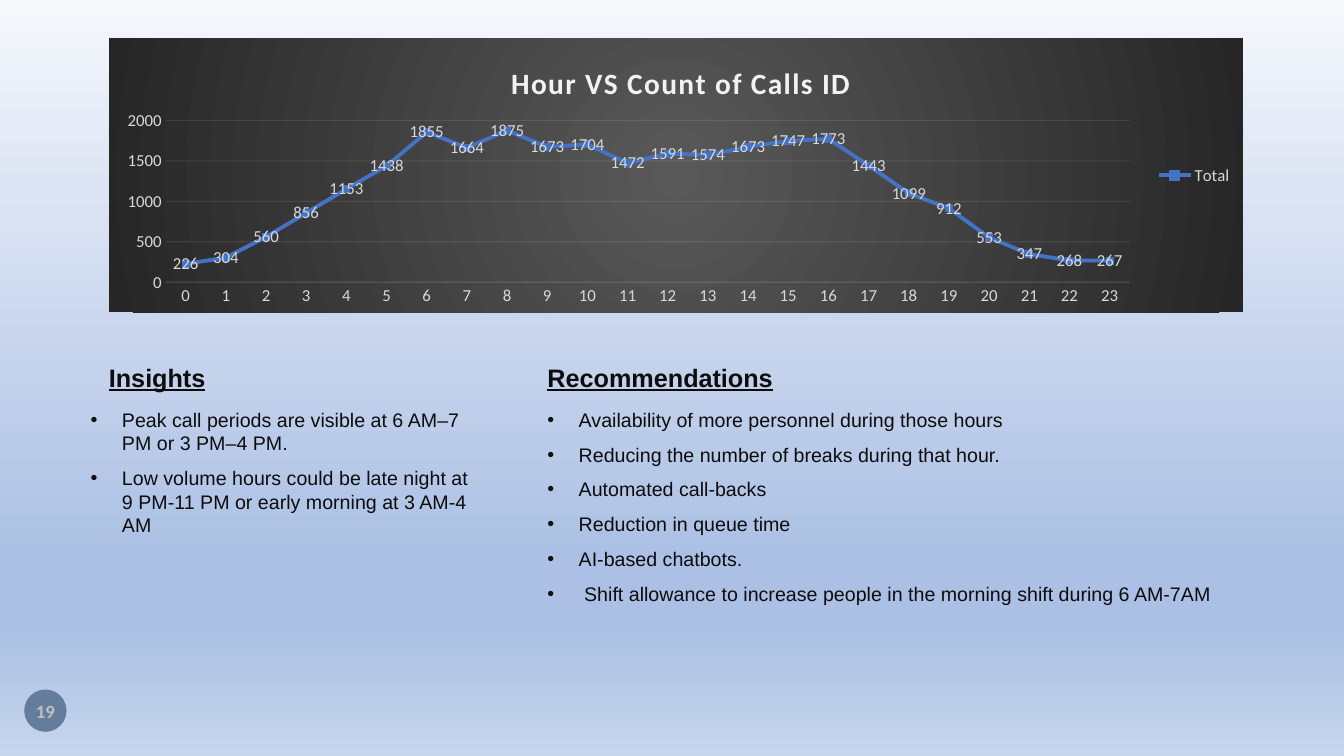
from lxml import etree
from pptx import Presentation
from pptx.chart.data import CategoryChartData
from pptx.dml.color import RGBColor
from pptx.enum.chart import (XL_CHART_TYPE, XL_LABEL_POSITION,
                             XL_LEGEND_POSITION, XL_TICK_MARK)
from pptx.enum.shapes import MSO_SHAPE
from pptx.enum.text import MSO_ANCHOR, PP_ALIGN
from pptx.oxml import parse_xml
from pptx.oxml.ns import nsdecls, qn
from pptx.util import Inches, Pt

LINE = XL_CHART_TYPE.LINE
MID = XL_LABEL_POSITION.CENTER
RIGHT = XL_LEGEND_POSITION.RIGHT
NONE = XL_TICK_MARK.NONE
OVAL = MSO_SHAPE.OVAL
MIDDLE = MSO_ANCHOR.MIDDLE
CENTER = PP_ALIGN.CENTER

WIDE, HIGH = 13.33, 7.5
INK, PALE, GREY = "0D0D0D", "F2F2F2", "D9D9D9"
SKY = [(0, "F6F8FC"), (25, "DDE5F4"), (49, "C4D2EC"), (59, "BACBE9"),
       (74, "ABC0E4"), (83, "ABC0E4"), (100, "C7D5ED")]
DARK = [(0, "595959"), (100, "262626")]
DOWN = '<a:lin ang="5400000" scaled="0"/>'
ROUND = ('<a:path path="circle"><a:fillToRect l="50000" t="50000" '
         'r="50000" b="50000"/></a:path>')

CALLS = [226, 304, 560, 856, 1153, 1438, 1855, 1664, 1875, 1673, 1704, 1472,
         1591, 1574, 1673, 1747, 1773, 1443, 1099, 912, 553, 347, 268, 267]
INSIGHTS = [
    "Peak call periods are visible at 6 AM–7 PM or 3 PM–4 PM.",
    "Low volume hours could be late night at 9 PM-11 PM or early morning "
    "at 3 AM-4 AM",
]
ADVICE = [
    "Availability of more personnel during those hours",
    "Reducing the number of breaks during that hour.",
    "Automated call-backs",
    "Reduction in queue time",
    "AI-based chatbots.",
    " Shift allowance to increase people in the morning shift during 6 AM-7AM",
]


def color(code):
    return RGBColor.from_string(code)


def style(font, size, code, name="Calibri", bold=False):
    font.size, font.name, font.bold = Pt(size), name, bold
    font.color.rgb = color(code)


def blend(stops, way):
    marks = "".join(f'<a:gs pos="{at * 1000}"><a:srgbClr val="{code}"/></a:gs>'
                    for at, code in stops)
    return f'<a:gradFill rotWithShape="1"><a:gsLst>{marks}</a:gsLst>{way}</a:gradFill>'


def paint_back(slide):
    slide.background.fill.solid()
    back = slide.element.find(".//" + qn("p:bgPr"))
    fill = parse_xml(blend(SKY, DOWN).replace(
        "<a:gradFill", f'<a:gradFill {nsdecls("a")}', 1))
    back.replace(back[0], fill)


def faint(line):
    """Thin pale line at ten percent opacity."""
    line.width = Pt(0.75)
    line.color.rgb = color(PALE)
    tint = line.fill.fore_color  # makes sure the fill is solid
    tint.rgb = color(PALE)


def fade(axis):
    for tone in axis._element.iter(qn("a:srgbClr")):
        if tone.getparent().getparent().tag == qn("a:ln"):
            etree.SubElement(tone, qn("a:alpha"), val="10000")


def place(parent, spot, inner=False):
    """Fix a chart part at shares of the chart's size."""
    old = parent.find(qn("c:layout"))
    if old is not None:
        parent.remove(old)
    parts = '<c:layoutTarget val="inner"/>' if inner else ""
    parts += '<c:xMode val="edge"/><c:yMode val="edge"/>'
    parts += "".join(f'<c:{key} val="{val}"/>' for key, val in zip("xywh", spot))
    node = parse_xml(f'<c:layout {nsdecls("c")}><c:manualLayout>{parts}'
                     '</c:manualLayout></c:layout>')
    if inner:
        parent.insert(0, node)
    else:
        parent.find(qn("c:tx")).addnext(node)


def add_calls(slide, x, y, w, h):
    data = CategoryChartData()
    data.categories = [str(hour) for hour in range(len(CALLS))]
    data.add_series("Total", CALLS)
    chart = slide.shapes.add_chart(LINE, Inches(x), Inches(y), Inches(w),
                                   Inches(h), data).chart
    style(chart.font, 12, GREY)

    # Dark panel
    root = chart.element
    root.find(qn("c:txPr")).addprevious(parse_xml(
        f'<c:spPr {nsdecls("c", "a")}>{blend(DARK, ROUND)}'
        '<a:ln><a:noFill/></a:ln></c:spPr>'))

    # Title and legend
    chart.has_title = True
    title = chart.chart_title
    title.include_in_layout = False
    run = title.text_frame.paragraphs[0].add_run()
    run.text = "Hour VS Count of Calls ID"
    style(run.font, 21, PALE, bold=True)
    run.font._element.set("spc", "100")
    place(root.find(".//" + qn("c:title")), (0.35, 0.07))
    chart.has_legend = True
    chart.legend.position = RIGHT
    chart.legend.include_in_layout = False
    style(chart.legend.font, 12, GREY)

    # Axes
    hours, count = chart.category_axis, chart.value_axis
    count.minimum_scale, count.maximum_scale, count.major_unit = 0, 2000, 500
    count.has_major_gridlines = True
    faint(count.major_gridlines.format.line)
    faint(hours.format.line)
    for axis in (hours, count):
        axis.major_tick_mark = axis.minor_tick_mark = NONE
        style(axis.tick_labels.font, 12, GREY)
        fade(axis)
    count.format.line.fill.background()

    # Series and labels
    plot = chart.plots[0]
    plot.vary_by_categories = False
    total = plot.series[0]
    total.smooth = False
    total.marker.style = None
    total.format.line.width = Pt(2.75)
    total.format.line.color.rgb = color("4472C4")
    labels = total.data_labels
    labels.show_value = True
    labels.position = MID
    style(labels.font, 12, GREY)
    place(root.find(".//" + qn("c:plotArea")), (0.05, 0.3, 0.85, 0.59), True)


def bare(shape, wrap):
    frame = shape.text_frame
    frame.margin_left = frame.margin_right = 0
    frame.margin_top = frame.margin_bottom = 0
    frame.vertical_anchor = MIDDLE
    frame.word_wrap = wrap
    return frame


def add_points(slide, x, y, w, h, head, items, shift=0):
    """Underlined heading above a bulleted list."""
    top, gap = 0.3, 0.45
    box = slide.shapes.add_textbox(Inches(x), Inches(y), Inches(w), Inches(top))
    para = bare(box, False).paragraphs[0]
    para.text = head
    style(para.font, 18, INK, "Arial", True)
    para.font.underline = True

    box = slide.shapes.add_textbox(Inches(x + shift), Inches(y + gap),
                                   Inches(w), Inches(h - gap))
    frame = bare(box, True)
    for i, item in enumerate(items):
        para = frame.add_paragraph() if i else frame.paragraphs[0]
        para.text = item
        para.space_after = Pt(8)
        props = para._p.get_or_add_pPr()
        props.set("marL", str(Inches(0.31)))
        props.set("indent", str(-Inches(0.31)))
        etree.SubElement(props, qn("a:buFont"), typeface="Arial")
        etree.SubElement(props, qn("a:buChar"), char="•")
        style(para.font, 14, INK, "Arial")


def add_page(slide, x, y, size, num):
    disc = slide.shapes.add_shape(OVAL, Inches(x), Inches(y), Inches(size),
                                  Inches(size))
    disc.shadow.inherit = False
    disc.fill.solid()
    disc.fill.fore_color.rgb = color("657D9D")
    disc.line.fill.background()
    para = bare(disc, False).paragraphs[0]
    para.text = num
    para.alignment = CENTER
    style(para.font, 13.3, "BFBFBF", bold=True)


def main():
    deck = Presentation()
    deck.slide_width, deck.slide_height = Inches(WIDE), Inches(HIGH)
    slide = deck.slides.add_slide(deck.slide_layouts[6])
    left, mid, row = 1.08, 5.43, 3.59
    paint_back(slide)
    add_page(slide, 0.24, 6.84, 0.42, "19")
    add_points(slide, left, row, 3.85, 1.74, "Insights", INSIGHTS, -0.18)
    add_points(slide, mid, row, 7.68, 2.42, "Recommendations", ADVICE)
    add_calls(slide, left, 0.38, WIDE - 2 * left + 0.08, 2.72)
    deck.save("out.pptx")


if __name__ == "__main__":
    main()
